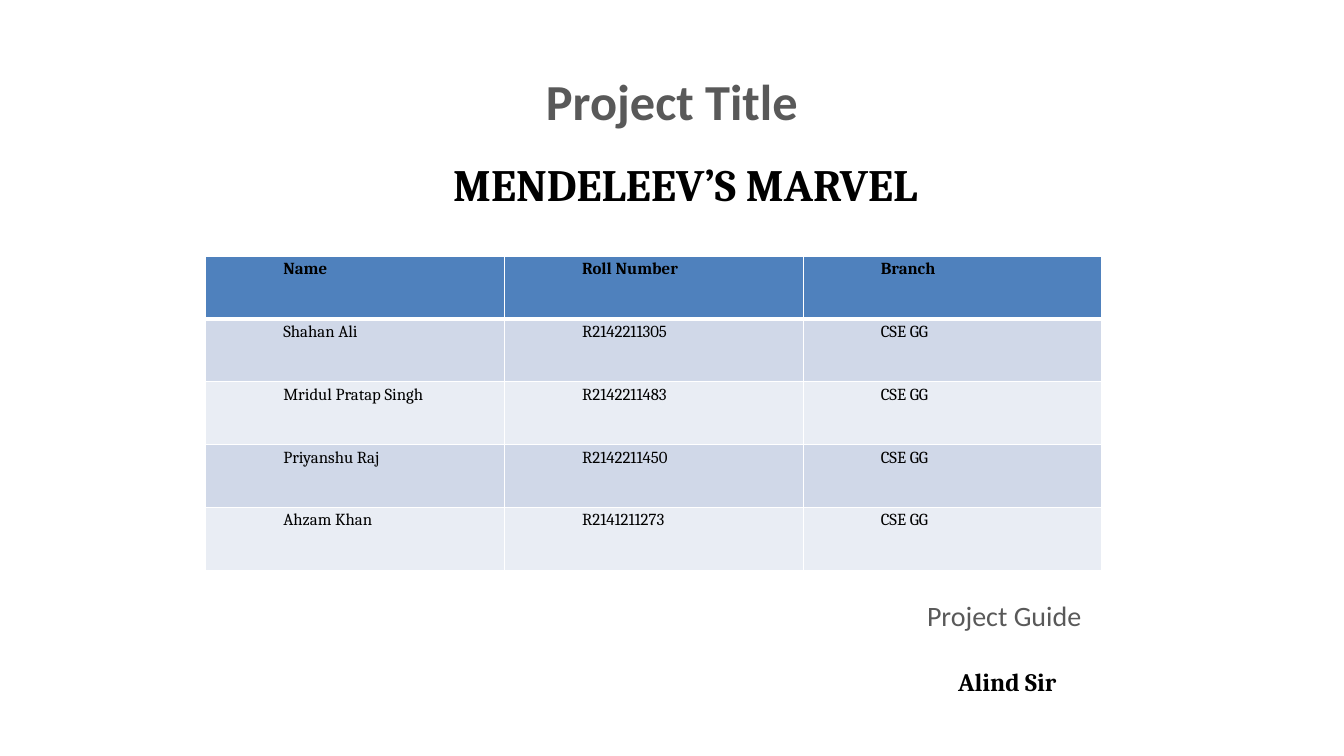
from dataclasses import dataclass

from lxml import etree
from pptx import Presentation
from pptx.dml.color import RGBColor
from pptx.enum.text import MSO_ANCHOR, PP_ALIGN
from pptx.oxml.ns import qn
from pptx.util import Inches, Pt

CENTER, LEFT = PP_ALIGN.CENTER, PP_ALIGN.LEFT
TOP, MIDDLE = MSO_ANCHOR.TOP, MSO_ANCHOR.MIDDLE


@dataclass(frozen=True)
class Theme:
    sans: str = "Calibri"
    serif: str = "Cambria"
    label: str = "595959"
    ink: str = "000000"
    header: str = "4F81BD"
    bands: tuple = ("D0D8E8", "E9EDF4")
    rule: str = "FFFFFF"
    title: int = 36
    project: int = 32
    guide: int = 20
    guide_name: int = 18
    cell: int = 12


THEME = Theme()
SLIDE_WIDTH, SLIDE_HEIGHT = 13.33, 7.5
THIN, THICK = 1, 3

MEMBERS = [
    ("Name", "Roll Number", "Branch"),
    ("Shahan Ali", "R2142211305", "CSE GG"),
    ("Mridul Pratap Singh", "R2142211483", "CSE GG"),
    ("Priyanshu Raj", "R2142211450", "CSE GG"),
    ("Ahzam Khan", "R2141211273", "CSE GG"),
]


def write(paragraph, text, *, size, face=THEME.serif, color=THEME.ink, bold=False,
          align=CENTER, indent=0, spacing=None, before=None):
    if indent:
        paragraph._p.get_or_add_pPr().set("marL", str(Inches(indent)))
    paragraph.alignment = align
    if spacing:
        paragraph.line_spacing = spacing
    if before:
        paragraph.space_before = Pt(before)
    run = paragraph.add_run()
    run.text = text
    run.font.name = face
    run.font.size = Pt(size)
    run.font.bold = bold
    run.font.color.rgb = RGBColor.from_string(color)


def text_frame(slide, box, anchor):
    frame = slide.shapes.add_textbox(*map(Inches, box)).text_frame
    frame.word_wrap = True
    frame.vertical_anchor = anchor
    return frame


def add_title(slide, box):
    title = slide.shapes.title
    title.left, title.top, title.width, title.height = map(Inches, box)
    title.text_frame.vertical_anchor = MIDDLE
    write(title.text_frame.paragraphs[0], "Project Title", size=THEME.title,
          face=THEME.sans, color=THEME.label, bold=True)


def add_project_name(slide, box):
    frame = text_frame(slide, box, TOP)
    write(frame.paragraphs[0], "MENDELEEV’S MARVEL", size=THEME.project,
          bold=True, spacing=1.1)


def add_guide(slide, box):
    frame = text_frame(slide, box, MIDDLE)
    frame.margin_bottom = Inches(0.39)
    write(frame.paragraphs[0], "Project Guide", size=THEME.guide,
          face=THEME.sans, color=THEME.label)
    write(frame.add_paragraph(), "Alind Sir", size=THEME.guide_name,
          bold=True, indent=0.06, before=24.4)


def draw_borders(cell, top, bottom):
    properties = cell._tc.get_or_add_tcPr()
    widths = {"a:lnL": THIN, "a:lnR": THIN, "a:lnT": top, "a:lnB": bottom}
    for position, (side, width) in enumerate(widths.items()):
        line = etree.Element(qn(side), w=str(Pt(width)))
        fill = etree.SubElement(line, qn("a:solidFill"))
        etree.SubElement(fill, qn("a:srgbClr"), val=THEME.rule)
        properties.insert(position, line)


def add_members(slide, box):
    left, top, width, height = map(Inches, box)
    table = slide.shapes.add_table(len(MEMBERS), len(MEMBERS[0]),
                                   left, top, width, height).table
    for row, member in enumerate(MEMBERS):
        is_header = row == 0
        fill = THEME.header if is_header else THEME.bands[(row - 1) % 2]
        for column, entry in enumerate(member):
            cell = table.cell(row, column)
            cell.margin_left = cell.margin_right = Inches(0.08)
            cell.margin_top, cell.margin_bottom = Inches(0.02), 0
            cell.fill.solid()
            cell.fill.fore_color.rgb = RGBColor.from_string(fill)
            draw_borders(cell, top=THICK if row == 1 else THIN,
                         bottom=THICK if is_header else THIN)
            write(cell.text_frame.paragraphs[0], entry, size=THEME.cell,
                  bold=is_header, align=LEFT, indent=0.69, spacing=1.07)


def main():
    deck = Presentation()
    deck.slide_width, deck.slide_height = Inches(SLIDE_WIDTH), Inches(SLIDE_HEIGHT)
    slide = deck.slides.add_slide(deck.slide_layouts[5])
    add_title(slide, (0, 0.51, SLIDE_WIDTH, 0.97))
    add_guide(slide, (8.32, 6.11, 3.28, 0.97))
    add_project_name(slide, (1.42, 1.45, 10.76, 0.65))
    add_members(slide, (2.04, 2.54, 8.89, 3.12))
    deck.save("out.pptx")


if __name__ == "__main__":
    main()
